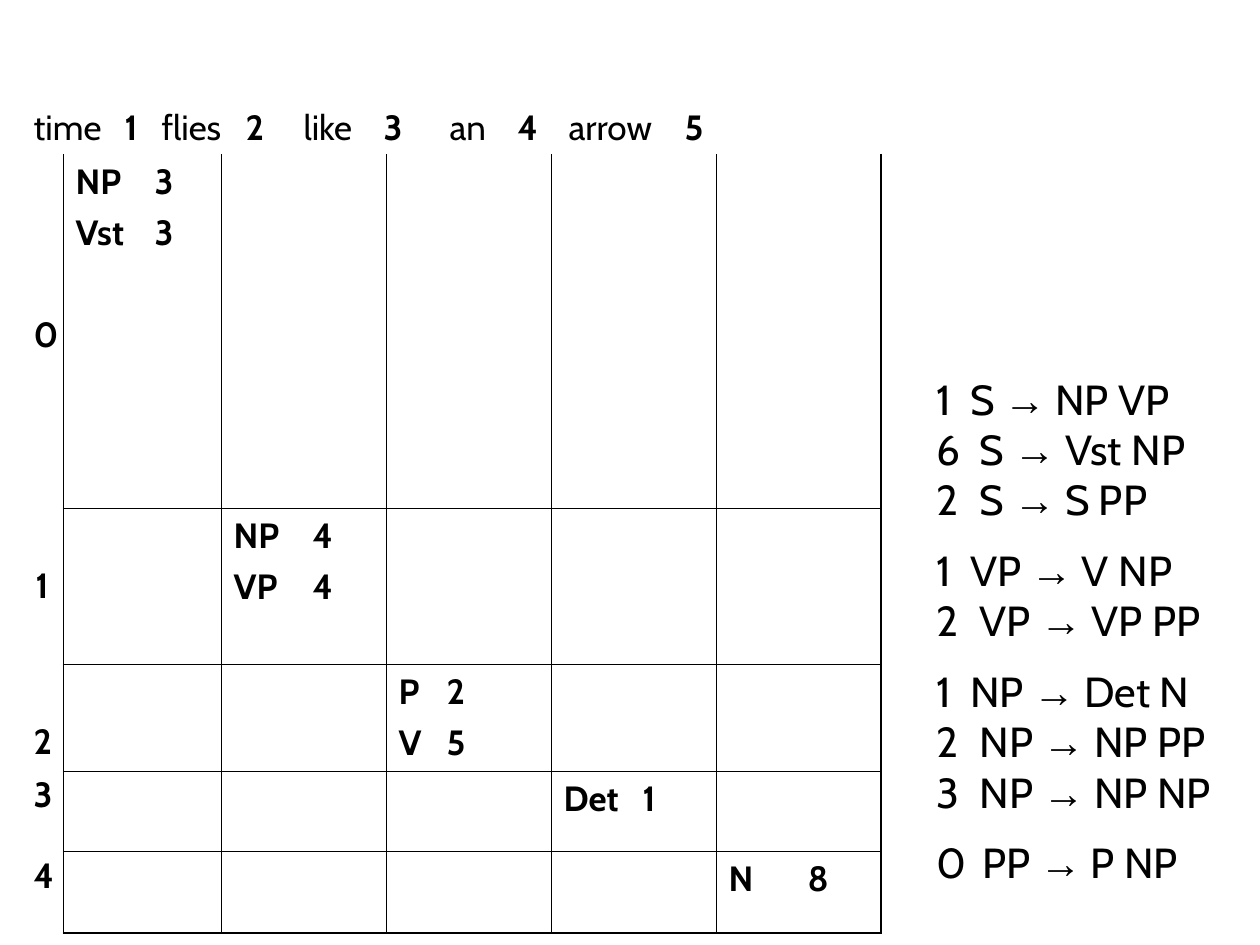
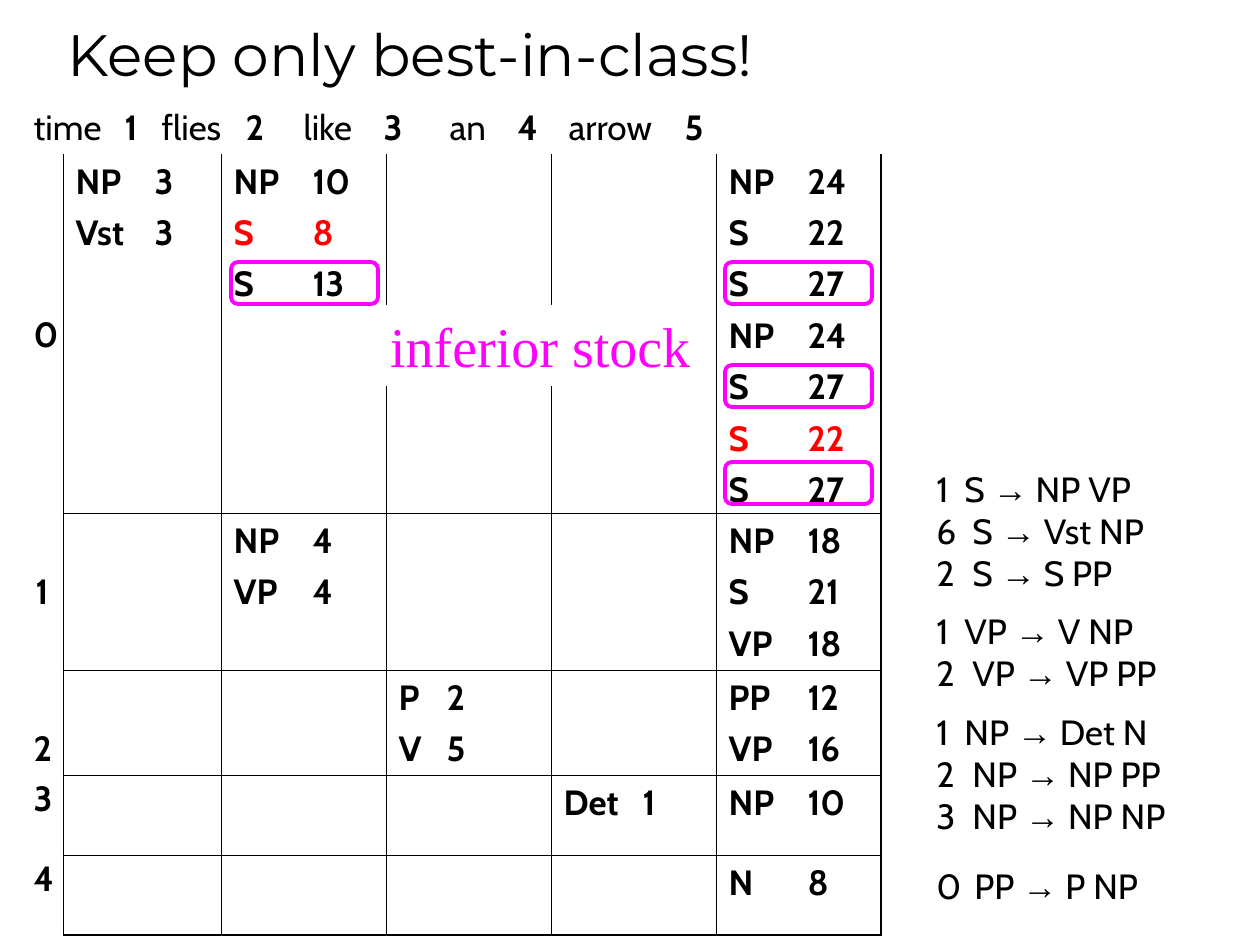
"""Build two slides of a chart parser's weighted table for "time flies like an arrow"."""
from pptx import Presentation
from pptx import util as u
from pptx.dml.color import RGBColor
from pptx.enum import shapes, text
from pptx.oxml.ns import qn
from lxml import etree

PX = 914400 / 126
THEME = {
    "ink": "000000", "best": "FF0000", "inferior": "FF00FF", "paper": "FFFFFF",
    "font": "Cabin", "arrow_font": "Arial", "title_font": "Montserrat", "stock_font": "Times New Roman",
    "chart_size": 20, "title_size": 33.3, "stock_size": 32,
    "thin": 0.45, "thick": 1.08, "frame": 2.25,
}

SENTENCE = ["time", "1", "flies", "2", "like", "3", "an", "4", "arrow", "5"]
SENTENCE_TABS = [91, 128, 212, 270, 350, 416, 484, 535, 651]
START_LABELS = [("0", 1, 160), ("1", 2.2, 6), ("2", 2.2, 6), ("3", 0.9, 6), ("4", 0.9, 6)]
COLUMNS = [42, 158, 165, 165, 165, 165]
CHART_LEFT, CHART_TOP, SENTENCE_HEIGHT = 21, 100, 54

WORD_ENTRIES = {
    (1, 1): [("NP", 3), ("Vst", 3)],
    (2, 2): [("NP", 4), ("VP", 4)],
    (3, 3): [("P", 2), ("V", 5)],
    (4, 4): [("Det", 1)],
    (5, 5): [("N", 8)],
}
PHRASE_ENTRIES = {
    (1, 2): [("NP", 10), ("S", 8, "best"), ("S", 13)],
    (1, 5): [("NP", 24), ("S", 22), ("S", 27), ("NP", 24), ("S", 27), ("S", 22, "best"), ("S", 27)],
    (2, 5): [("NP", 18), ("S", 21), ("VP", 18)],
    (3, 5): [("PP", 12), ("VP", 16)],
    (4, 5): [("NP", 10)],
}
ENTRY_TAB, NARROW_TAB, NARROW_CELL = 79, 48, (3, 3)

GRAMMAR = [
    [("1", "S", "NP VP"), ("6", "S", "Vst NP"), ("2", "S", "S PP")],
    [("1", "VP", "V NP"), ("2", "VP", "VP PP")],
    [("1", "NP", "Det N"), ("2", "NP", "NP PP"), ("3", "NP", "NP NP")],
    [("0", "PP", "P NP")],
]
WEIGHT_WIDTHS = {"1": 1.4, "0": 1.9}

SLIDES = [
    {"entries": WORD_ENTRIES, "rows": [354, 156, 107, 81, 81],
     "grammar": (924, 367, 336, 527), "grammar_size": 24, "last_gap": 0},
    {"entries": {**WORD_ENTRIES, **PHRASE_ENTRIES}, "rows": [359, 157, 105, 80, 80],
     "grammar": (924, 461, 336, 454), "grammar_size": 20, "last_gap": 6,
     "title": "Keep only best-in-class!", "stock": "inferior stock",
     "frames": [(231, 262), (725, 262), (725, 365), (725, 462)]},
]
TITLE_BOX = (55, 8, 1162, 87)
STOCK_BOX = (378, 305, 325, 81)
FRAME_SIZE = (147, 42)


def px(length):
    return u.Emu(round(length * PX))


def box(*lengths):
    return [px(length) for length in lengths]


def apply(target, formats):
    for name, value in formats.items():
        setattr(target, name, value)


def write(paragraph, words, size, colour="ink", font="font", bold=False):
    run = paragraph.add_run()
    run.text = words
    apply(run.font, {"name": THEME[font], "size": u.Pt(size), "bold": bold})
    run.font.color.rgb = RGBColor.from_string(THEME[colour])


def set_tabs(paragraph, stops):
    tabs = etree.SubElement(paragraph._p.get_or_add_pPr(), qn("a:tabLst"))
    for stop in stops:
        etree.SubElement(tabs, qn("a:tab"), pos=str(px(stop)), algn="l")


def next_paragraph(frame, index):
    return frame.add_paragraph() if index else frame.paragraphs[0]


def set_borders(cell, widths):
    properties = cell._tc.get_or_add_tcPr()
    for position, (side, width) in enumerate(zip("LRTB", widths)):
        line = etree.Element(qn(f"a:ln{side}"), w=str(u.Pt(width)))
        if width:
            fill = etree.SubElement(line, qn("a:solidFill"))
            etree.SubElement(fill, qn("a:srgbClr"), val=THEME["ink"])
        else:
            etree.SubElement(line, qn("a:noFill"))
        properties.insert(position, line)


def border_widths(row, column, last):
    thin, thick = THEME["thin"], THEME["thick"]
    if row == 0:
        return 0, 0, 0, 0
    if column == 0:
        return 0, thin, 0, 0
    return (thin, thick if column == last else thin,
            thin if row > 1 else 0, thick if row == last else thin)


def add_chart_table(slide, entries, rows):
    heights = [SENTENCE_HEIGHT, *rows]
    last = len(rows)
    chart = slide.shapes.add_table(len(heights), len(COLUMNS), *box(
        CHART_LEFT, CHART_TOP, sum(COLUMNS), sum(heights))).table
    apply(chart, {"first_row": False, "horz_banding": False})
    for column, width in zip(chart.columns, COLUMNS):
        column.width = px(width)
    for row, height in zip(chart.rows, heights):
        row.height = px(height)
    for row in range(len(heights)):
        for column in range(len(COLUMNS)):
            cell = chart.cell(row, column)
            cell.fill.background()
            cell.margin_bottom = px(2)
            set_borders(cell, border_widths(row, column, last))
    chart.cell(0, 0).merge(chart.cell(0, last))

    size = THEME["chart_size"]
    sentence = chart.cell(0, 0).text_frame.paragraphs[0]
    set_tabs(sentence, SENTENCE_TABS)
    for index, word in enumerate(SENTENCE):
        write(sentence, ("\t" if index else "") + word, size, bold=word.isdigit())
    for row, (label, spacing, top) in enumerate(START_LABELS, 1):
        start = chart.cell(row, 0)
        start.margin_top = px(top)
        paragraph = start.text_frame.paragraphs[0]
        apply(paragraph, {"alignment": text.PP_ALIGN.CENTER, "line_spacing": spacing})
        write(paragraph, label, size, bold=True)
    for place, constituents in entries.items():
        frame = chart.cell(*place).text_frame
        for index, (symbol, weight, *colour) in enumerate(constituents):
            paragraph = next_paragraph(frame, index)
            set_tabs(paragraph, [NARROW_TAB if place == NARROW_CELL else ENTRY_TAB])
            if index:
                paragraph.space_before = u.Pt(5)
            write(paragraph, f"{symbol}\t{weight}", size, *colour, bold=True)


def add_grammar(slide, place, size, last_gap):
    frame = slide.shapes.add_textbox(*box(*place)).text_frame
    frame.word_wrap = True
    rules = [(group, index, rule) for group, members in enumerate(GRAMMAR)
             for index, rule in enumerate(members)]
    for order, (group, index, (weight, left, right)) in enumerate(rules):
        paragraph = next_paragraph(frame, order)
        set_tabs(paragraph, [size * WEIGHT_WIDTHS.get(weight, 1.8)])
        if group and not index:
            paragraph.line_spacing = 1.4
        if last_gap and order == len(rules) - 1:
            paragraph.space_before = u.Pt(last_gap)
        write(paragraph, f"{weight}\t{left} ", size)
        write(paragraph, "→", size, font="arrow_font")
        write(paragraph, f" {right}", size)


def add_title(slide, words):
    title = slide.shapes.title
    apply(title, dict(zip(("left", "top", "width", "height"), box(*TITLE_BOX))))
    apply(title.text_frame, {"vertical_anchor": text.MSO_ANCHOR.BOTTOM, "word_wrap": True,
                             "auto_size": text.MSO_AUTO_SIZE.NONE})
    paragraph = title.text_frame.paragraphs[0]
    apply(paragraph, {"alignment": text.PP_ALIGN.LEFT, "line_spacing": 0.9})
    write(paragraph, words, THEME["title_size"], font="title_font")


def add_inferior_stock(slide, words, frames):
    for corner in frames:
        frame = slide.shapes.add_shape(
            shapes.MSO_SHAPE.ROUNDED_RECTANGLE, *box(*corner, *FRAME_SIZE))
        frame.shadow.inherit = False
        frame.fill.background()
        frame.line.color.rgb = RGBColor.from_string(THEME["inferior"])
        frame.line.width = u.Pt(THEME["frame"])
    stock = slide.shapes.add_shape(shapes.MSO_SHAPE.RECTANGLE, *box(*STOCK_BOX))
    stock.shadow.inherit = False
    stock.fill.solid()
    stock.fill.fore_color.rgb = RGBColor.from_string(THEME["paper"])
    stock.line.fill.background()
    apply(stock.text_frame, {"word_wrap": False, "vertical_anchor": text.MSO_ANCHOR.TOP})
    paragraph = stock.text_frame.paragraphs[0]
    paragraph.alignment = text.PP_ALIGN.CENTER
    write(paragraph, words, THEME["stock_size"], "inferior", "stock_font")


def main():
    deck = Presentation()
    apply(deck, {"slide_width": u.Inches(10), "slide_height": u.Inches(7.5)})
    title_only, blank = deck.slide_layouts[5], deck.slide_layouts[6]
    for content in SLIDES:
        slide = deck.slides.add_slide(title_only if "title" in content else blank)
        add_chart_table(slide, content["entries"], content["rows"])
        add_grammar(slide, content["grammar"], content["grammar_size"], content["last_gap"])
        if "title" in content:
            add_title(slide, content["title"])
            add_inferior_stock(slide, content["stock"], content["frames"])
    deck.save("out.pptx")


if __name__ == "__main__":
    main()
